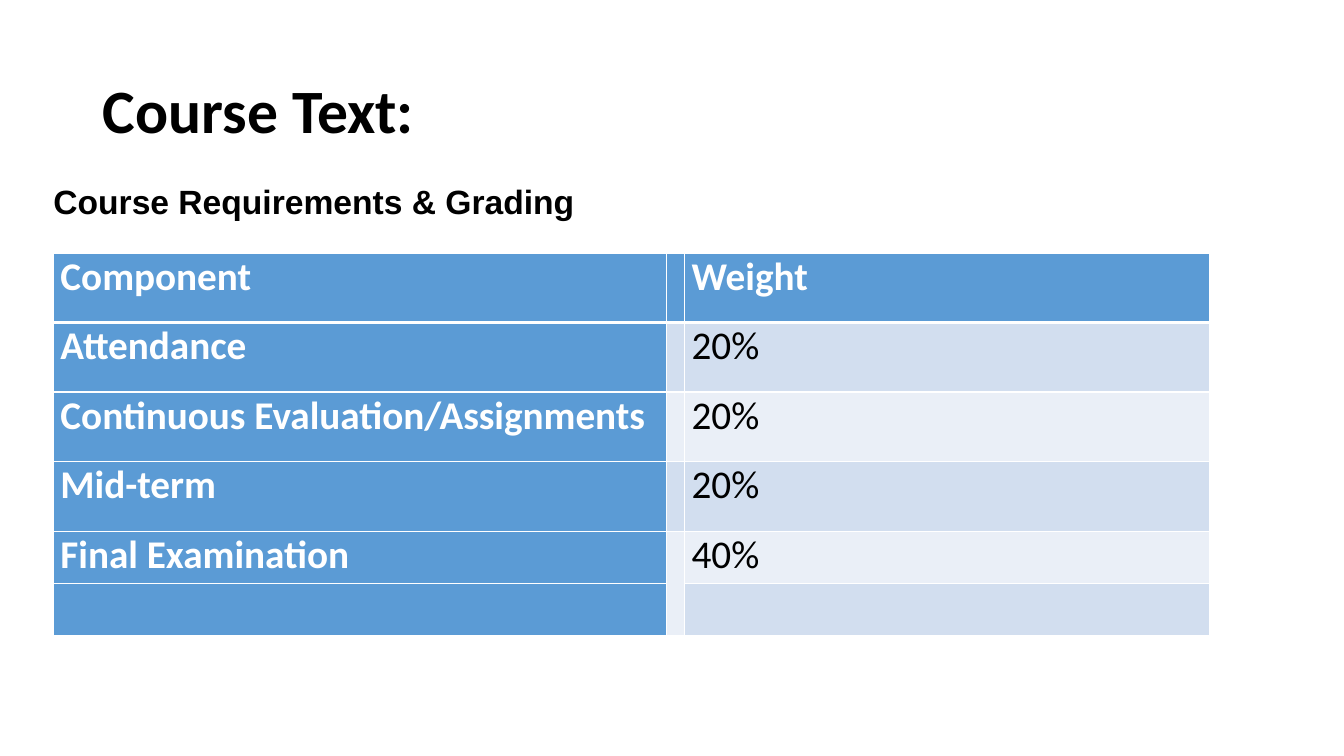
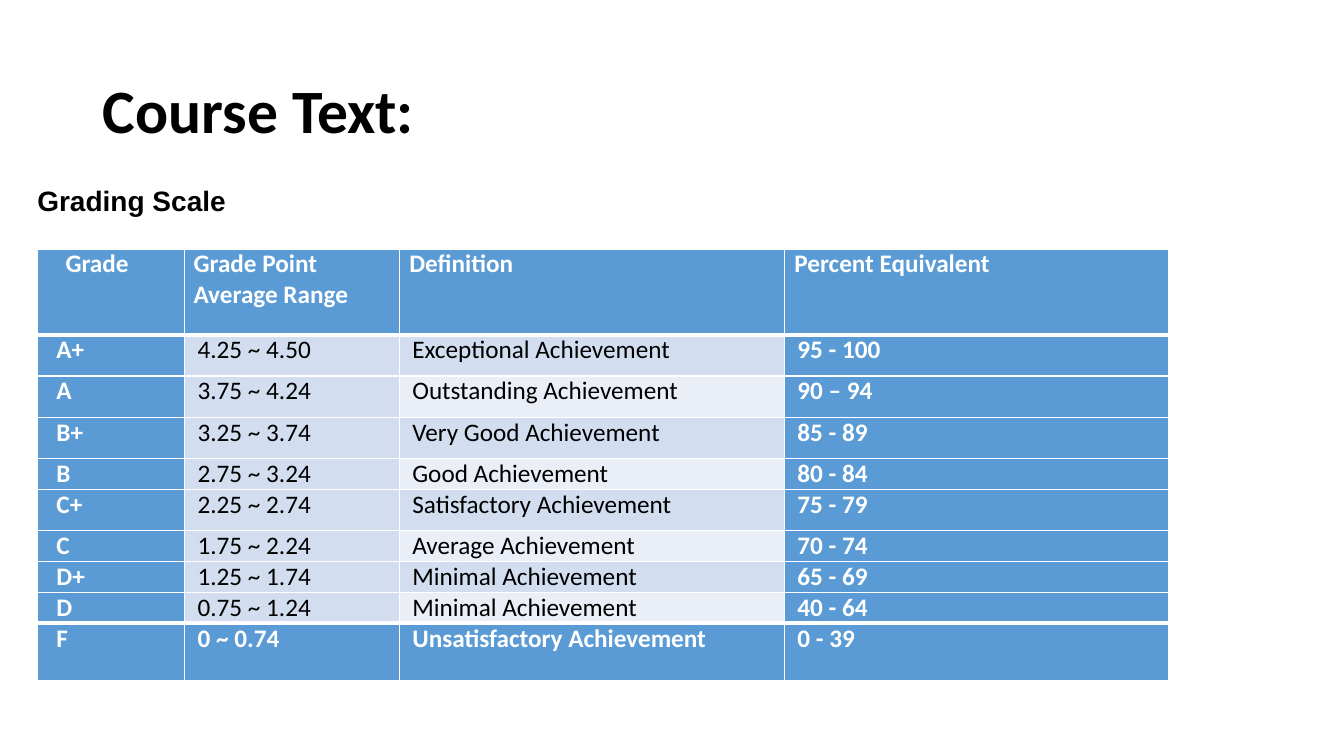
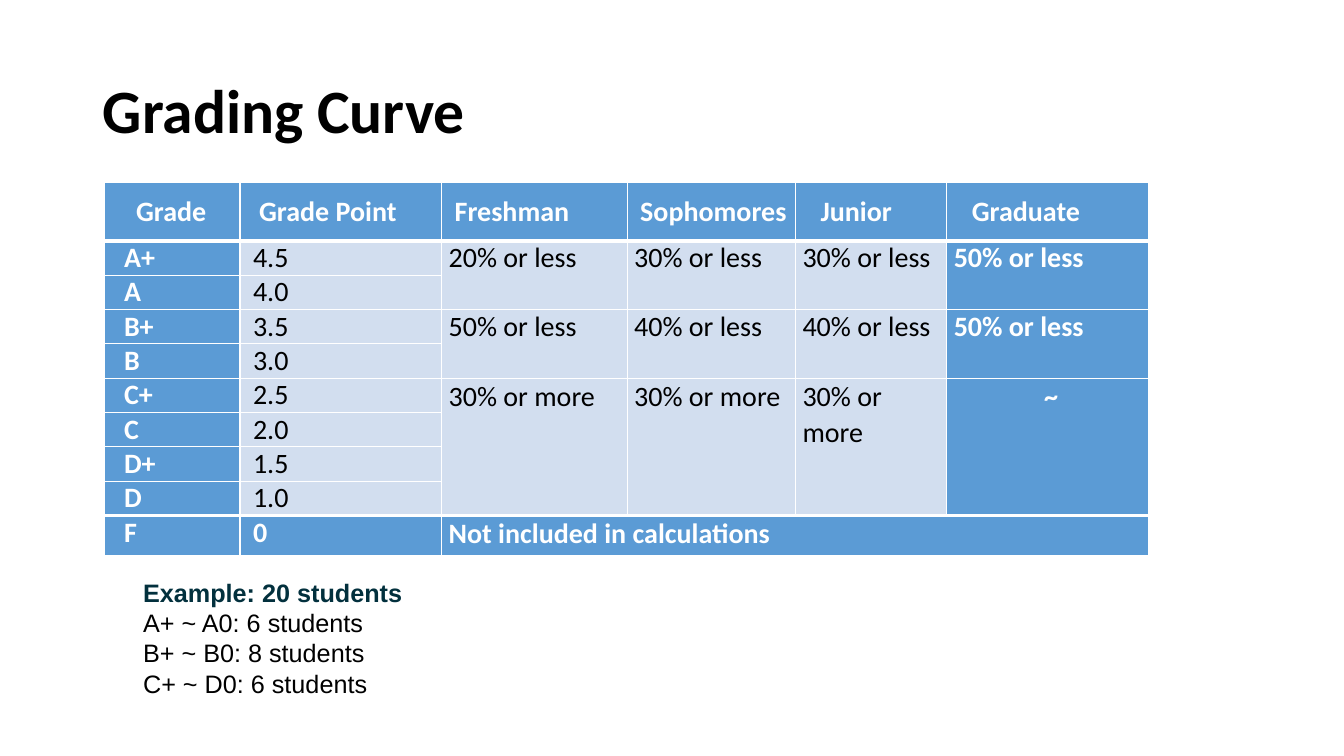
from dataclasses import dataclass
from itertools import product

from lxml import etree
from pptx import Presentation
from pptx.dml.color import RGBColor
from pptx.enum import text
from pptx.oxml import ns
from pptx.util import Inches, Pt


@dataclass(frozen=True)
class Theme:
    white: str = "FFFFFF"
    black: str = "000000"
    teal: str = "02303D"
    blue: str = "5B9BD5"
    band_dark: str = "D2DEEF"
    band_light: str = "EAEFF7"
    body_font: str = "Calibri"
    heading_font: str = "Arial"
    title_size: int = 44
    thin: int = 1
    thick: int = 3


theme = Theme()


def write(para, words, size, color, bold, name=theme.body_font):
    span = para.add_run()
    span.text = words
    for key, value in {"size": Pt(size), "bold": bold, "name": name}.items():
        setattr(span.font, key, value)
    span.font.color.rgb = RGBColor.from_string(color)


def draw_borders(cell, top, bottom):
    """Give the cell white edges; top and bottom are widths in points."""
    properties = cell._tc.get_or_add_tcPr()
    for edge, width in {"L": theme.thin, "R": theme.thin, "T": top, "B": bottom}.items():
        line = etree.SubElement(properties, ns.qn(f"a:ln{edge}"), w=str(Pt(width)))
        fill = etree.SubElement(line, ns.qn("a:solidFill"))
        etree.SubElement(fill, ns.qn("a:srgbClr"), val=theme.white)


# Indents are in inches; merges hold first row, first column, last row, last column.
pages = [
    {
        "title": "Course Text:",
        "note": [("Course Requirements & Grading", 24, theme.black, True)],
        "note_at": (0.53, 1.74, 6.63, 0.5),
        "table_at": (0.53, 2.51),
        "size": 28,
        "widths": [6.08, 0.18, 5.21],
        "heights": [0.69] * 4 + [0.52] * 2,
        "header_indents": [0.07] * 3,
        "indents": [0.07] * 3,
        "header_anchor": text.MSO_ANCHOR.TOP,
        "blue_columns": {0},
        "banded_columns": {1, 2},
        "total_row": None,
        "merges": [(4, 1, 5, 1)],
        "loose_rows": (),
        "rows": [
            ("Component", "", "Weight"),
            ("Attendance", "", "20%"),
            ("Continuous Evaluation/Assignments", "", "20%"),
            ("Mid-term", "", "20%"),
            ("Final Examination", "", "40%"),
            ("", "", ""),
        ],
    },
    {
        "title": "Course Text:",
        "note": [("Grading Scale", 20, theme.black, True)],
        "note_at": (0.37, 1.74, 5.13, 0.5),
        "table_at": (0.37, 2.47),
        "size": 18,
        "widths": [1.46, 2.13, 3.82, 3.81],
        "heights": [0.85, 0.41, 0.41, 0.41, 0.3, 0.41, 0.3, 0.3, 0.3, 0.57],
        "header_indents": [0.28, 0.09, 0.1, 0.1],
        "indents": [0.19, 0.13, 0.13, 0.13],
        "header_anchor": text.MSO_ANCHOR.TOP,
        "blue_columns": {0, 3},
        "banded_columns": {2},
        "total_row": 9,
        "merges": [],
        "loose_rows": (),
        "rows": [
            ("Grade", "Grade Point Average Range", "Definition", "Percent Equivalent"),
            ("A+", "4.25 ~ 4.50", "Exceptional Achievement", "95 - 100"),
            ("A", "3.75 ~ 4.24", "Outstanding Achievement", "90 – 94"),
            ("B+", "3.25 ~ 3.74", "Very Good Achievement", "85 - 89"),
            ("B", "2.75 ~ 3.24", "Good Achievement", "80 - 84"),
            ("C+", "2.25 ~ 2.74", "Satisfactory Achievement", "75 - 79"),
            ("C", "1.75 ~ 2.24", "Average Achievement", "70 - 74"),
            ("D+", "1.25 ~ 1.74", "Minimal Achievement", "65 - 69"),
            ("D", "0.75 ~ 1.24", "Minimal Achievement", "40 - 64"),
            ("F", "0 ~ 0.74", "Unsatisfactory Achievement", "0 - 39"),
        ],
    },
    {
        "title": "Grading Curve",
        "note": [
            ("Example: 20 students", 18, theme.teal, True),
            ("A+ ~ A0: 6 students", 18, theme.black, False),
            ("B+ ~ B0: 8 students", 18, theme.black, False),
            ("C+ ~ D0: 6 students", 18, theme.black, False),
        ],
        "note_at": (1.42, 5.72, 2.66, 1.21),
        "table_at": (1.04, 1.81),
        "size": 20,
        "widths": [1.34, 2, 1.84, 1.67, 1.5, 2],
        "heights": [0.58] + [0.34] * 8 + [0.4],
        "header_indents": [0.31, 0.19, 0.13, 0.13, 0.25, 0.25],
        "indents": [0.19, 0.13] + [0.07] * 4,
        "header_anchor": text.MSO_ANCHOR.MIDDLE,
        "blue_columns": {0, 5},
        "banded_columns": set(),
        "total_row": 9,
        "merges": [(first, column, last, column)
                   for (first, last), column in product(((1, 2), (3, 4), (5, 8)), range(2, 6))]
                  + [(9, 2, 9, 5)],
        "loose_rows": (5, 9),
        "rows": [
            ("Grade", "Grade Point", "Freshman", "Sophomores", "Junior", "Graduate"),
            ("A+", "4.5", "20% or less", "30% or less", "30% or less", "50% or less"),
            ("A", "4.0", "", "", "", ""),
            ("B+", "3.5", "50% or less", "40% or less", "40% or less", "50% or less"),
            ("B", "3.0", "", "", "", ""),
            ("C+", "2.5", "30% or more", "30% or more", "30% or more", "~"),
            ("C", "2.0", "", "", "", ""),
            ("D+", "1.5", "", "", "", ""),
            ("D", "1.0", "", "", "", ""),
            ("F", "0", "Not included in calculations", "", "", ""),
        ],
    },
]

deck = Presentation()
deck.slide_width, deck.slide_height = Inches(13.33), Inches(7.5)
layout = deck.slide_layouts[5]
title_place = {"left": 0.92, "top": 0.4, "width": 11.5, "height": 1.45}
for key, value in title_place.items():
    setattr(layout.placeholders[0], key, Inches(value))

for content in pages:
    page = deck.slides.add_slide(layout)
    title = page.shapes.title.text_frame
    title.vertical_anchor = text.MSO_ANCHOR.MIDDLE
    para = title.paragraphs[0]
    para.alignment, para.line_spacing = text.PP_ALIGN.LEFT, 0.9
    write(para, content["title"], theme.title_size, theme.black, True)

    widths, heights = content["widths"], content["heights"]
    table = page.shapes.add_table(
        len(heights), len(widths), *map(Inches, content["table_at"]),
        Inches(sum(widths)), Inches(sum(heights))).table
    table.horz_banding = False
    for column, width in zip(table.columns, widths):
        column.width = Inches(width)
    for row, height in zip(table.rows, heights):
        row.height = Inches(height)
    for top, left, bottom, right in content["merges"]:
        table.cell(top, left).merge(table.cell(bottom, right))

    full_rows = {0, content["total_row"]}
    thick_edges = {1, content["total_row"]}
    for r, values in enumerate(content["rows"]):
        for c, words in enumerate(values):
            cell = table.cell(r, c)
            is_blue = r in full_rows or c in content["blue_columns"]
            is_light = c in content["banded_columns"] and r % 2 == 0
            fill = theme.blue if is_blue else theme.band_light if is_light else theme.band_dark
            draw_borders(cell, *(theme.thick if edge in thick_edges else theme.thin
                                 for edge in (r, r + 1)))
            cell.fill.solid()
            cell.fill.fore_color.rgb = RGBColor.from_string(fill)
            for side in ("left", "top", "right", "bottom"):
                setattr(cell, f"margin_{side}", 0)
            cell.vertical_anchor = text.MSO_ANCHOR.TOP if r else content["header_anchor"]
            if not words:
                continue
            para = cell.text_frame.paragraphs[0]
            indents = content["indents"] if r else content["header_indents"]
            para._p.get_or_add_pPr().set("marL", str(Inches(indents[c])))
            if words == "~":
                para.alignment = text.PP_ALIGN.CENTER
            if cell.is_merge_origin and r in content["loose_rows"]:
                para.line_spacing = 1.05
            write(para, words, content["size"], theme.white if is_blue else theme.black, is_blue)

    box = page.shapes.add_textbox(*map(Inches, content["note_at"])).text_frame
    box_format = {"word_wrap": True, "vertical_anchor": text.MSO_ANCHOR.MIDDLE,
                  "margin_left": 0, "margin_top": 0, "margin_right": 0, "margin_bottom": 0}
    for key, value in box_format.items():
        setattr(box, key, value)
    for number, line in enumerate(content["note"]):
        para = box.add_paragraph() if number else box.paragraphs[0]
        write(para, *line, name=theme.heading_font)

deck.save("out.pptx")
